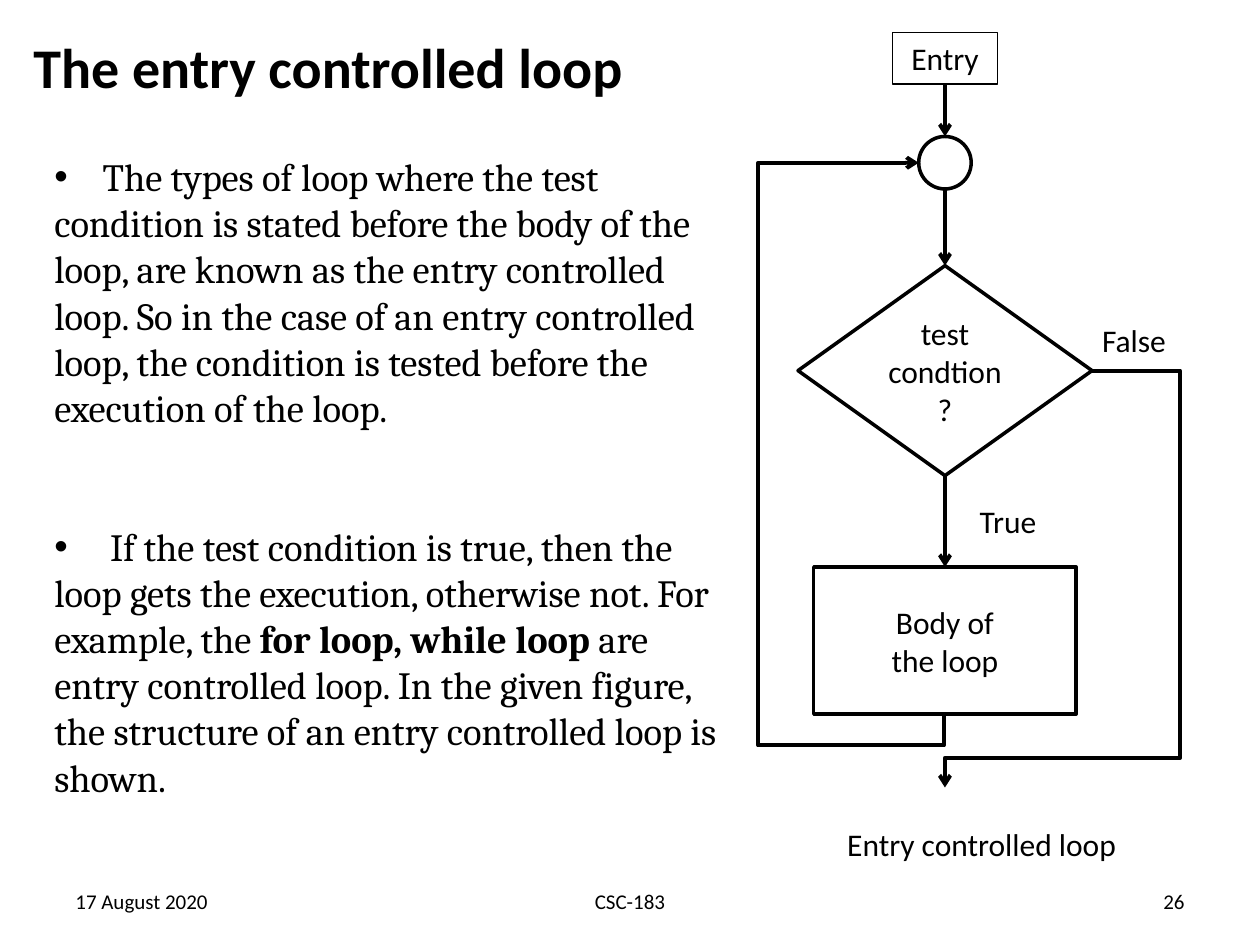
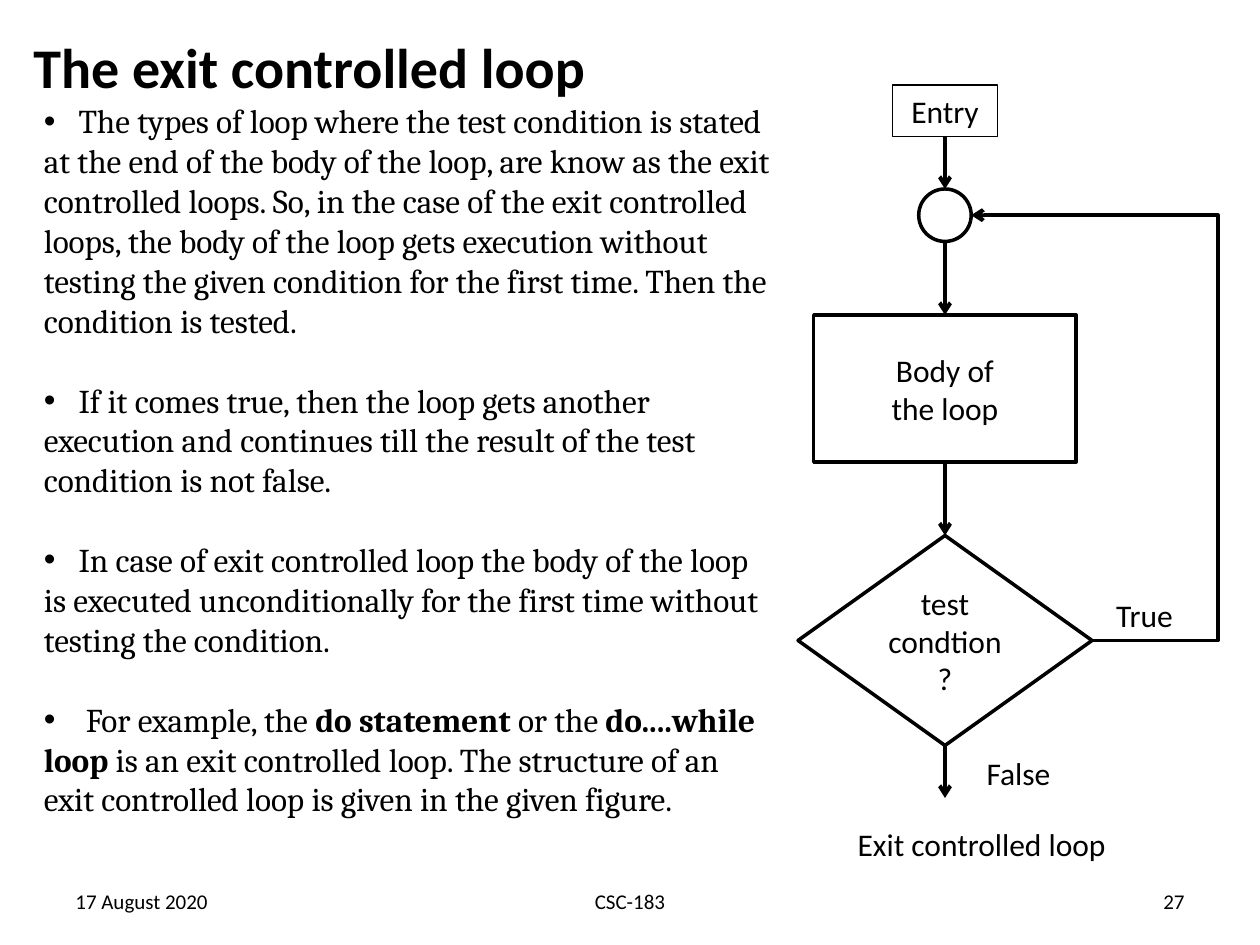
from lxml import etree
from pptx import Presentation
from pptx.dml.color import RGBColor
from pptx.enum.shapes import MSO_CONNECTOR, MSO_SHAPE
from pptx.enum.text import MSO_ANCHOR, PP_ALIGN
from pptx.oxml.ns import qn
from pptx.util import Emu, Pt

PX = 7620
BLACK, WHITE = "000000", "FFFFFF"
HEAD_FONT, BODY_FONT = "Calibri", "Cambria"
LEFT, CENTER, RIGHT = PP_ALIGN.LEFT, PP_ALIGN.CENTER, PP_ALIGN.RIGHT
TOP, MIDDLE = MSO_ANCHOR.TOP, MSO_ANCHOR.MIDDLE
STRAIGHT, ELBOW = MSO_CONNECTOR.STRAIGHT, MSO_CONNECTOR.ELBOW
RECT = MSO_SHAPE.RECTANGLE
CIRCLE = MSO_SHAPE.FLOWCHART_CONNECTOR
DECISION = MSO_SHAPE.FLOWCHART_DECISION
PROCESS = MSO_SHAPE.FLOWCHART_PROCESS

BODY_SIZE = (250, 140)
TEST_SIZE = (280, 200)
CIRCLE_SIZE = 50
ENTRY_SIZE = (100, 49)
LABEL_SIZE = (100, 48)
AXIS = 180

ENTRY_POINTS = [
    (46, "The types of loop where the test condition is stated before the body of the "
     "loop, are known as the entry controlled loop. So in the case of an entry controlled "
     "loop, the condition is tested before the execution of the loop."),
    (53, "If the test condition is true, then the loop gets the execution, otherwise not. "
     "For example, the *for loop, while loop* are entry controlled loop. In the given "
     "figure, the structure of an entry controlled loop is shown."),
]
EXIT_POINTS = [
    (33, "The types of loop where the test condition is stated at the end of the body of "
     "the loop, are know as the exit controlled loops. So, in the case of the exit "
     "controlled loops, the body of the loop gets execution without testing the given "
     "condition for the first time. Then the condition is tested."),
    (33, "If it comes true, then the loop gets another execution and continues till the "
     "result of the test condition is not false."),
    (33, "In case of exit controlled loop the body of the loop is executed "
     "unconditionally for the first time without testing the condition."),
    (40, "For example, the *do statement* or the *do....while loop* is an exit controlled "
     "loop. The structure of an exit controlled loop is given in the given figure."),
]


def px(n):
    """Turn px into EMU."""
    return Emu(int(n * PX))


def rgb(color):
    """Turn a hex string into a colour."""
    return RGBColor.from_string(color)


def child(parent, tag, **attrs):
    """Append a DrawingML element."""
    el = etree.SubElement(parent, qn(tag))
    for name, value in attrs.items():
        el.set(name, str(value))
    return el


def style(p, size, font=HEAD_FONT, bold=None, align=LEFT):
    """Set the look of a paragraph."""
    p.alignment = align
    p.font.size, p.font.name, p.font.bold = Pt(size), font, bold
    p.font.color.rgb = rgb(BLACK)


def write(tf, text, size, align=CENTER, anchor=MIDDLE, bold=None):
    """Fill a text frame, one paragraph per line."""
    tf.word_wrap, tf.vertical_anchor = True, anchor
    tf.text = text
    for p in tf.paragraphs:
        style(p, size, bold=bold, align=align)


def label(slide, box, text, size=18, align=CENTER, anchor=TOP, bold=None):
    """Add a text box."""
    sp = slide.shapes.add_textbox(*map(px, box))
    write(sp.text_frame, text, size, align, anchor, bold)


def node(slide, kind, box, text="", fill=WHITE, weight=2):
    """Add an outlined flowchart shape."""
    sp = slide.shapes.add_shape(kind, *map(px, box))
    sp.shadow.inherit = False
    if fill:
        sp.fill.solid()
        sp.fill.fore_color.rgb = rgb(fill)
    else:
        sp.fill.background()
    sp.line.color.rgb = rgb(BLACK)
    sp.line.width = Pt(weight)
    if text:
        write(sp.text_frame, text, 18)


def arrow(slide, start, end, kind=STRAIGHT, end_tag="a:tailEnd"):
    """Add a connector with an open arrowhead."""
    cx = slide.shapes.add_connector(kind, *map(px, start + end))
    cx.line.color.rgb = rgb(BLACK)
    cx.line.width = Pt(2.25)
    child(cx.line._get_or_add_ln(), end_tag, type="arrow")
    child(cx._element.spPr, "a:effectLst")
    return cx


def elbow(slide, start, end, *turns, end_tag="a:tailEnd"):
    """Add a bent arrow that turns first at an x, then optionally at a y."""
    cx = arrow(slide, start, end, ELBOW, end_tag)
    geom = cx._element.spPr.find(qn("a:prstGeom"))
    geom.set("prst", f"bentConnector{len(turns) + 2}")
    guides = geom.find(qn("a:avLst"))
    for i, (turn, a, b) in enumerate(zip(turns, start, end), 1):
        ratio = round((turn - a) / (b - a) * 100000)
        child(guides, "a:gd", name=f"adj{i}", fmla=f"val {ratio}")


def bullets(slide, box, points, size, gap_lines):
    """Add bulleted text whose *starred* parts are bold."""
    tf = slide.shapes.add_textbox(*map(px, box)).text_frame
    tf.word_wrap = True
    for i, (tab, text) in enumerate(points):
        p = tf.add_paragraph() if i else tf.paragraphs[0]
        pPr = p._p.get_or_add_pPr()
        pPr.set("marL", "0")
        pPr.set("indent", "0")
        child(pPr, "a:buFont", typeface="Arial")
        child(pPr, "a:buChar", char="•")
        child(child(pPr, "a:tabLst"), "a:tab", pos=px(tab), algn="l")
        style(p, size, BODY_FONT)
        if i:
            p.space_before = Pt(size * 1.2 * gap_lines)
        for j, part in enumerate(("\t" + text).split("*")):
            r = p.add_run()
            r.text, r.font.bold = part, j % 2 == 1


def flow_nodes(slide, x, y, circle_y, test_y, body_y):
    """Draw the four nodes of a loop and the arrows down its axis."""
    axis = x + AXIS
    ew, eh = ENTRY_SIZE
    tw, th = TEST_SIZE
    bw, bh = BODY_SIZE
    node(slide, RECT, (axis - ew // 2, y, ew, eh), "Entry", None, 0.75)
    node(slide, CIRCLE, (axis - CIRCLE_SIZE // 2, y + circle_y, CIRCLE_SIZE, CIRCLE_SIZE))
    node(slide, DECISION, (axis - tw // 2, y + test_y, tw, th), "test\ncondtion\n?")
    node(slide, PROCESS, (axis - bw // 2, y + body_y, bw, bh), "Body of\nthe loop")
    spans = sorted([(0, eh), (circle_y, CIRCLE_SIZE), (test_y, th), (body_y, bh)])
    for (top, height), (below, _) in zip(spans, spans[1:]):
        arrow(slide, (axis, y + top + height), (axis, y + below))


def entry_flow(slide, x, y):
    """Draw the loop that tests before its body."""
    circle_y, test_y, body_y = 99, 222, 509
    axis, mid_test = x + AXIS, y + test_y + TEST_SIZE[1] // 2
    flow_nodes(slide, x, y, circle_y, test_y, body_y)
    elbow(slide, (axis - CIRCLE_SIZE // 2, y + circle_y + CIRCLE_SIZE // 2),
          (axis - 1, y + body_y + BODY_SIZE[1]), x + 2, y + 679, end_tag="a:headEnd")
    elbow(slide, (axis + TEST_SIZE[0] // 2, mid_test), (axis, y + 719), x + 404, y + 691)
    label(slide, (x + 310, y + 269, *LABEL_SIZE), "False")
    label(slide, (x + 190, y + 441, *LABEL_SIZE), "True")


def exit_flow(slide, x, y):
    """Draw the loop that tests after its body."""
    circle_y, test_y, body_y = 99, 429, 219
    axis, mid_test = x + AXIS, y + test_y + TEST_SIZE[1] // 2
    flow_nodes(slide, x, y, circle_y, test_y, body_y)
    elbow(slide, (axis + TEST_SIZE[0] // 2, mid_test),
          (axis + CIRCLE_SIZE // 2, y + circle_y + CIRCLE_SIZE // 2), x + 440)
    end = y + test_y + TEST_SIZE[1]
    arrow(slide, (axis, end), (axis, end + 50))
    label(slide, (x + 320, y + 481, *LABEL_SIZE), "True")
    label(slide, (x + 200, y + 631, *LABEL_SIZE), "False")


def base_slide(prs, title, caption, number):
    """Add a slide with its title, figure caption and footer."""
    slide = prs.slides.add_slide(prs.slide_layouts[6])
    label(slide, (20, 26, 1160, 74), title, 32, LEFT, MIDDLE, True)
    label(slide, (720, 780, 430, 50), caption)
    for left, width, text, align in ((60, 280, "17 August 2020", LEFT),
                                     (410, 380, "CSC-183", CENTER),
                                     (860, 280, str(number), RIGHT)):
        label(slide, (left, 834, width, 48), text, 12, align, MIDDLE)
    return slide


def main():
    """Build the deck."""
    prs = Presentation()
    prs.slide_width, prs.slide_height = px(1200), px(900)
    slide = base_slide(prs, "The entry controlled loop", "Entry controlled loop", 26)
    bullets(slide, (40, 140, 660, 634), ENTRY_POINTS, 22, 2)
    entry_flow(slide, 720, 31)
    slide = base_slide(prs, "The exit controlled loop", "Exit controlled loop", 27)
    bullets(slide, (30, 90, 720, 742), EXIT_POINTS, 19, 1)
    exit_flow(slide, 720, 81)
    prs.save("out.pptx")


if __name__ == "__main__":
    main()
